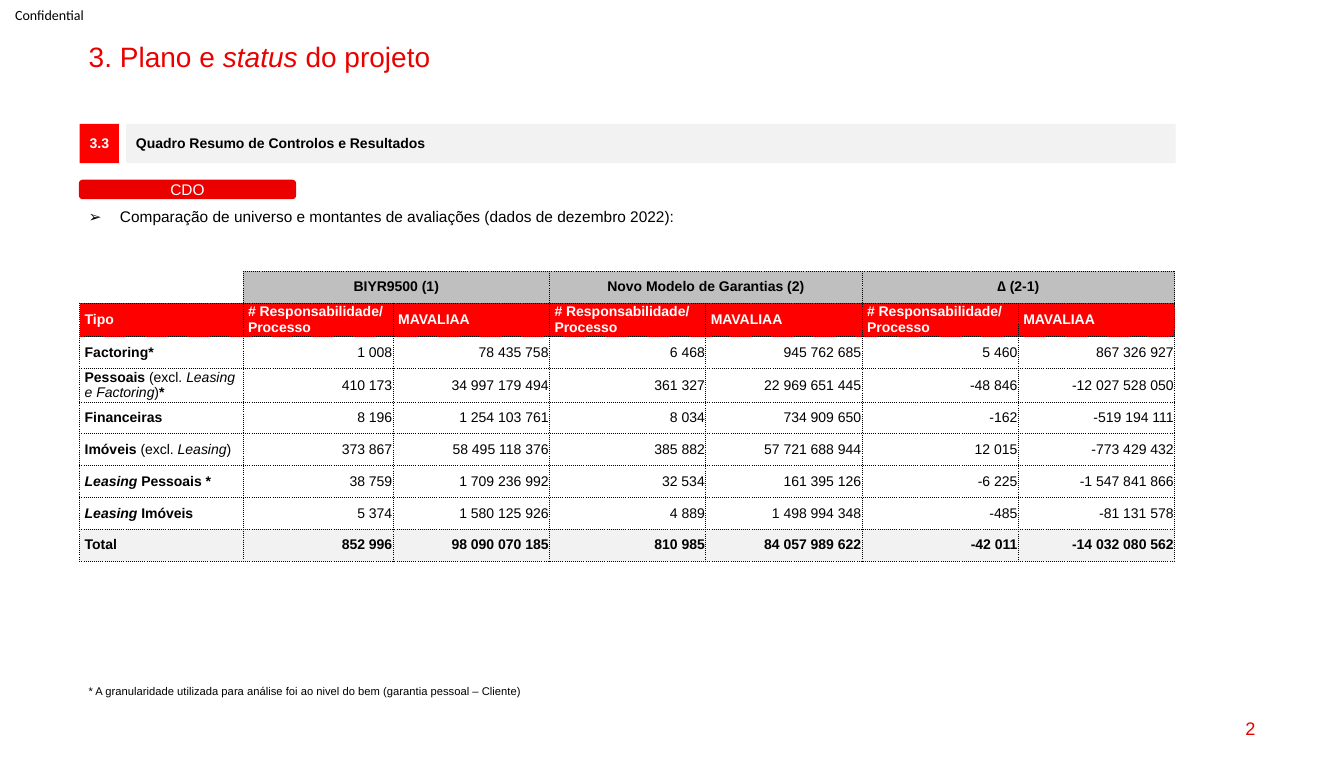
from lxml import etree
from pptx import Presentation
from pptx.dml.color import RGBColor
from pptx.enum.shapes import MSO_SHAPE
from pptx.enum.text import MSO_ANCHOR, PP_ALIGN
from pptx.oxml.ns import qn
from pptx.util import Inches, Pt

RED = RGBColor(0xEB, 0x00, 0x00)
BRIGHT_RED = RGBColor(0xFF, 0x00, 0x00)
LIGHT_GREY = RGBColor(0xF2, 0xF2, 0xF2)
MID_GREY = RGBColor(0xBF, 0xBF, 0xBF)
BLACK = RGBColor(0x00, 0x00, 0x00)
WHITE = RGBColor(0xFF, 0xFF, 0xFF)
LEFT, CENTER, RIGHT = PP_ALIGN.LEFT, PP_ALIGN.CENTER, PP_ALIGN.RIGHT
TOP, MIDDLE = MSO_ANCHOR.TOP, MSO_ANCHOR.MIDDLE
RECT, ROUND_RECT = MSO_SHAPE.RECTANGLE, MSO_SHAPE.ROUNDED_RECTANGLE

TITLE = [("3. Plano e ", ""), ("status", "i"), (" do projeto", "")]
BULLET = "Comparação de universo e montantes de avaliações (dados de dezembro 2022):"
FOOTNOTE = "* A granularidade utilizada para análise foi ao nivel do bem (garantia pessoal – Cliente)"
GROUPS = [
    [("BIYR9500 (1)", "b")],
    [("Novo Modelo de Garantias (2)", "b")],
    [("∆ ", "bi"), ("(2-1)", "b")],
]
HEADINGS = ["Tipo"] + ["# Responsabilidade/\nProcesso", "MAVALIAA"] * 3
ROWS = [
    ([("Factoring*", "b")],
     ["1 008", "78 435 758", "6 468", "945 762 685", "5 460", "867 326 927"]),
    ([("Pessoais ", "b"), ("(excl. ", ""), ("Leasing e Factoring", "i"), (")", ""), ("*", "b")],
     ["410 173", "34 997 179 494", "361 327", "22 969 651 445", "-48 846", "-12 027 528 050"]),
    ([("Financeiras", "b")],
     ["8 196", "1 254 103 761", "8 034", "734 909 650", "-162", "-519 194 111"]),
    ([("Imóveis ", "b"), ("(excl. ", ""), ("Leasing", "i"), (")", "")],
     ["373 867", "58 495 118 376", "385 882", "57 721 688 944", "12 015", "-773 429 432"]),
    ([("Leasing ", "bi"), ("Pessoais *", "b")],
     ["38 759", "1 709 236 992", "32 534", "161 395 126", "-6 225", "-1 547 841 866"]),
    ([("Leasing ", "bi"), ("Imóveis", "b")],
     ["5 374", "1 580 125 926", "4 889", "1 498 994 348", "-485", "-81 131 578"]),
    ([("Total", "b")],
     ["852 996", "98 090 070 185", "810 985", "84 057 989 622", "-42 011", "-14 032 080 562"]),
]
COL_WIDTHS = [1.62, 1.49] + [1.55] * 5
TABLE_HEIGHT = 2.84


def write(tf, runs, size, color=BLACK, align=LEFT, font="Arial", spacing=1.0):
    p = tf.paragraphs[0]
    for text, style in runs:
        for i, line in enumerate(text.split("\n")):
            if i:
                p = tf.add_paragraph()
            p.alignment = align
            p.line_spacing = spacing
            p.space_before = Pt(0)
            r = p.add_run()
            r.text = line
            r.font.name = font
            r.font.size = Pt(size)
            r.font.color.rgb = color
            r.font.bold = "b" in style
            r.font.italic = "i" in style


def set_frame(tf, anchor, insets=(0.1, 0.05, 0.1, 0.05), wrap=True):
    tf.word_wrap = wrap
    tf.vertical_anchor = anchor
    tf.margin_left, tf.margin_top, tf.margin_right, tf.margin_bottom = map(Inches, insets)


def place(sp, left, top, width, height):
    sp.left, sp.top, sp.width, sp.height = map(Inches, (left, top, width, height))


def add_text(slide, box, text, size, **style):
    tf = slide.shapes.add_textbox(*map(Inches, box)).text_frame
    set_frame(tf, MIDDLE)
    write(tf, [(text, "")], size, **style)
    return tf


def add_box(slide, kind, box, fill, runs, size, color, align, spacing=1.0):
    sp = slide.shapes.add_shape(kind, *map(Inches, box))
    sp.shadow.inherit = False
    sp.fill.solid()
    sp.fill.fore_color.rgb = fill
    sp.line.fill.background()
    set_frame(sp.text_frame, MIDDLE, (0.1, 0, 0.1, 0))
    write(sp.text_frame, runs, size, color, align, spacing=spacing)
    return sp


def set_borders(cell, sides):
    tc_pr = cell._tc.get_or_add_tcPr()
    for side in sides:
        ln = etree.SubElement(tc_pr, qn(f"a:ln{side}"), w=str(Pt(0.5)))
        solid = etree.SubElement(ln, qn("a:solidFill"))
        etree.SubElement(solid, qn("a:srgbClr"), val=str(BLACK))
        etree.SubElement(ln, qn("a:prstDash"), val="sysDot")


def format_cell(cell, runs, fill=None, color=BLACK, align=LEFT, sides="LRTB"):
    set_borders(cell, sides)
    if fill is None:
        cell.fill.background()
    else:
        cell.fill.solid()
        cell.fill.fore_color.rgb = fill
    side = 0.01 if align == RIGHT else 0.05
    cell.margin_left = cell.margin_right = Inches(side)
    cell.margin_top = cell.margin_bottom = Inches(0)
    cell.vertical_anchor = MIDDLE
    write(cell.text_frame, runs, 10, color, align)


def add_summary_table(slide):
    n_rows = len(ROWS) + 2
    frame = slide.shapes.add_table(
        n_rows, len(COL_WIDTHS), Inches(0.79), Inches(2.69),
        Inches(sum(COL_WIDTHS)), Inches(TABLE_HEIGHT))
    table = frame.table
    table.first_row = table.horz_banding = False
    for col, width in zip(table.columns, COL_WIDTHS):
        col.width = Inches(width)
    for row in table.rows:
        row.height = Inches(TABLE_HEIGHT / n_rows)

    format_cell(table.cell(0, 0), [], sides="RB")
    for g, runs in enumerate(GROUPS):
        first, last = table.cell(0, 2 * g + 1), table.cell(0, 2 * g + 2)
        format_cell(first, runs, MID_GREY, align=CENTER)
        format_cell(last, [], MID_GREY)
        first.merge(last)
    for c, heading in enumerate(HEADINGS):
        format_cell(table.cell(1, c), [(heading, "b")], BRIGHT_RED, WHITE)
    for r, (label, values) in enumerate(ROWS, 2):
        is_total = r == n_rows - 1
        fill = LIGHT_GREY if is_total else None
        format_cell(table.cell(r, 0), label, fill)
        for c, value in enumerate(values, 1):
            format_cell(table.cell(r, c), [(value, "b" if is_total else "")], fill, align=RIGHT)


def main():
    prs = Presentation()
    prs.slide_width, prs.slide_height = Inches(13.33), Inches(7.76)
    slide = prs.slides.add_slide(prs.slide_layouts[1])

    add_text(slide, (0, 0, 0.99, 0.29), "Confidential", 10,
             font="Calibri").margin_left = Inches(0.15)

    title = slide.shapes.title
    place(title, 0.78, 0.38, 11.77, 0.34)
    set_frame(title.text_frame, TOP)
    write(title.text_frame, TITLE, 20, RED, spacing=0.9)

    add_text(slide, (9.55, 7.02, 3, 0.41), "2", 13, color=RED, align=RIGHT)

    add_box(slide, RECT, (0.79, 1.23, 0.39, 0.39), BRIGHT_RED,
            [("3.3", "b")], 10, WHITE, CENTER, 0.9).text_frame.word_wrap = False
    add_box(slide, RECT, (1.25, 1.23, 10.41, 0.39), LIGHT_GREY,
            [("Quadro Resumo de Controlos e Resultados", "b")], 10, BLACK, LEFT, 0.9)
    tag = add_box(slide, ROUND_RECT, (0.79, 1.79, 2.14, 0.18), RED,
                  [("CDO", "")], 11, WHITE, CENTER)
    tag.line.color.rgb = RED
    tag.line.width = Pt(1)

    add_summary_table(slide)
    footnote = add_text(slide, (0.78, 6.74, 4.56, 0.24), FOOTNOTE, 8)
    footnote.word_wrap = False

    body = slide.placeholders[1]
    place(body, 0.78, 2.01, 9.31, 0.29)
    set_frame(body.text_frame, TOP)
    write(body.text_frame, [(BULLET, "")], 11)
    p_pr = body.text_frame.paragraphs[0]._p.get_or_add_pPr()
    p_pr.set("marL", str(Inches(0.31)))
    p_pr.set("indent", str(-Inches(0.31)))
    etree.SubElement(p_pr, qn("a:buFont"), typeface="Arial")
    etree.SubElement(p_pr, qn("a:buChar"), char="➢")

    prs.save("out.pptx")


if __name__ == "__main__":
    main()
